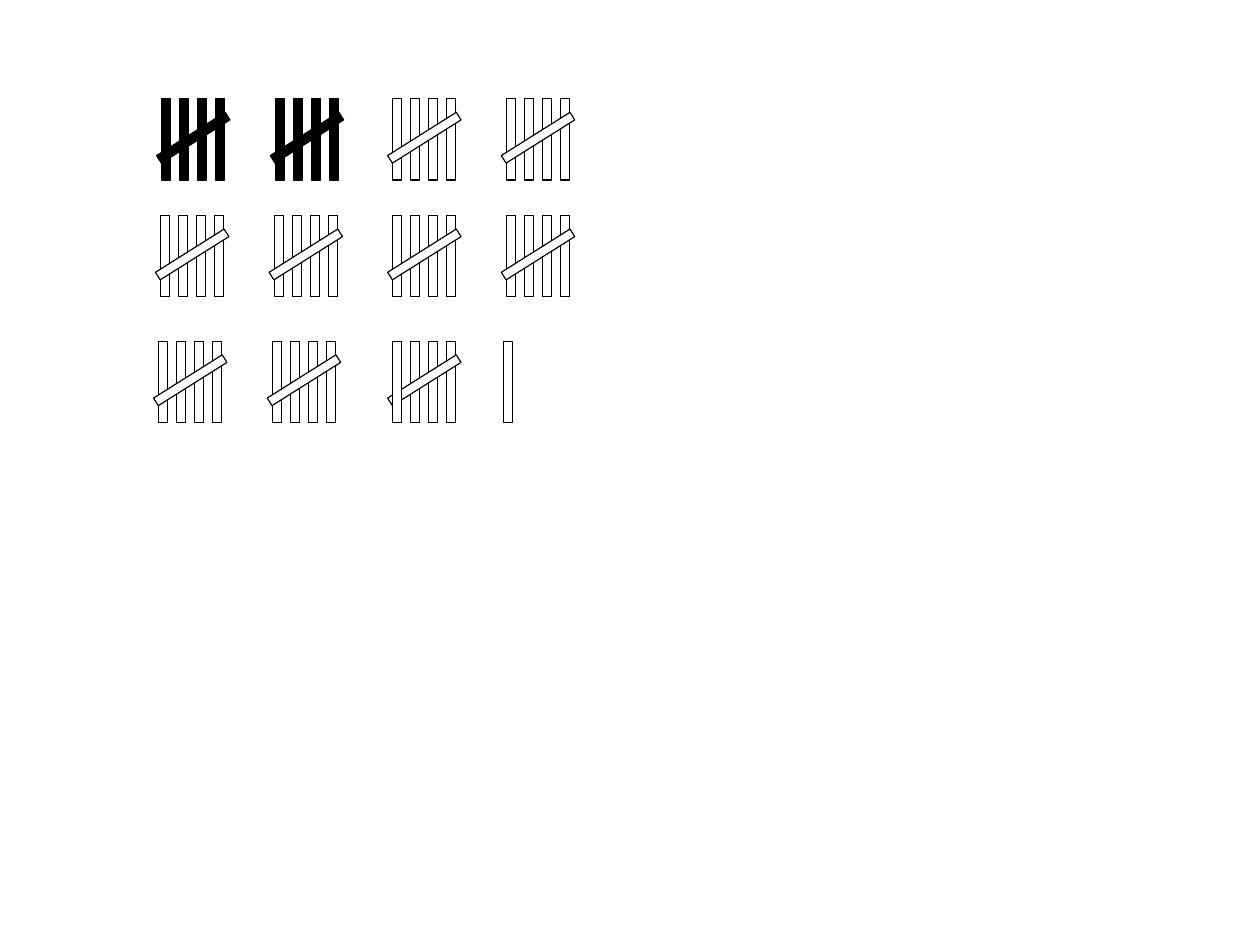
import pptx
import pptx.util
import pptx.dml.color
import pptx.enum.shapes

WIDE = pptx.util.Cm(28)
HIGH = pptx.util.Cm(21)

THEME = {
    "ink": pptx.dml.color.RGBColor(0, 0, 0),
    "paper": pptx.dml.color.RGBColor(255, 255, 255),
    "line": pptx.util.Pt(0.75),
}

# Tally marks, in percent of the slide's width or height
STEP = 9.02     # from one mark to the next in a pair
MARK_W = 5
MARK_H = 8.59
RIGHT = 31.18   # left edge of the right pair
LAST = 39.98    # left edge of the lone stroke
ROWS = [(12.84, 10.46), (12.75, 22.81), (12.6, 36.12)]

COLS = 7        # strokes and gaps take turns across a mark
TILT = 57.8
LIFT = 0.02     # how far the slash sits above centre, as a share of the mark


def area(left, top):
    """Return the box of a mark whose corner is given in percent."""
    return (WIDE * left / 100, HIGH * top / 100,
            WIDE * MARK_W / 100, HIGH * MARK_H / 100)


def bar(slide, box, col, fill, tilt=0, lift=0):
    """Draw one bar in a column of the box, turned and lifted if asked."""
    x, y, w, h = box
    thick = w / COLS
    kind = pptx.enum.shapes.MSO_SHAPE.RECTANGLE
    shape = slide.shapes.add_shape(
        kind, round(x + col * thick), round(y - lift * h), round(thick), round(h))
    shape.rotation = tilt
    shape.shadow.inherit = False
    for part in (shape.fill, shape.line.fill):
        part.solid()
    look = {
        (shape.fill.fore_color, "rgb"): THEME[fill],
        (shape.line.fill.fore_color, "rgb"): THEME["ink"],
        (shape.line, "width"): THEME["line"],
    }
    for (part, name), value in look.items():
        setattr(part, name, value)


def tally(slide, box, fill, over=()):
    """Draw four strokes and a slash; columns in over lie above the slash."""
    cols = range(0, COLS, 2)
    for col in cols:
        if col not in over:
            bar(slide, box, col, fill)
    bar(slide, box, COLS // 2, fill, TILT, LIFT)
    for col in over:
        bar(slide, box, col, fill)


def pair(slide, left, top, fill):
    """Draw two tallies side by side."""
    for side in range(2):
        tally(slide, area(left + side * STEP, top), fill)


def count(slide):
    """Draw the whole count: ten in ink, the rest in outline."""
    for row, (left, top) in enumerate(ROWS):
        pair(slide, left, top, "paper" if row else "ink")
        if row < len(ROWS) - 1:
            pair(slide, RIGHT, top, "paper")
    tally(slide, area(RIGHT, top), "paper", over=(0,))
    bar(slide, area(LAST, top), 0, "paper")


deck = pptx.Presentation()
for name, value in {"slide_width": WIDE, "slide_height": HIGH}.items():
    setattr(deck, name, value)
count(deck.slides.add_slide(deck.slide_layouts[6]))
deck.save("out.pptx")
